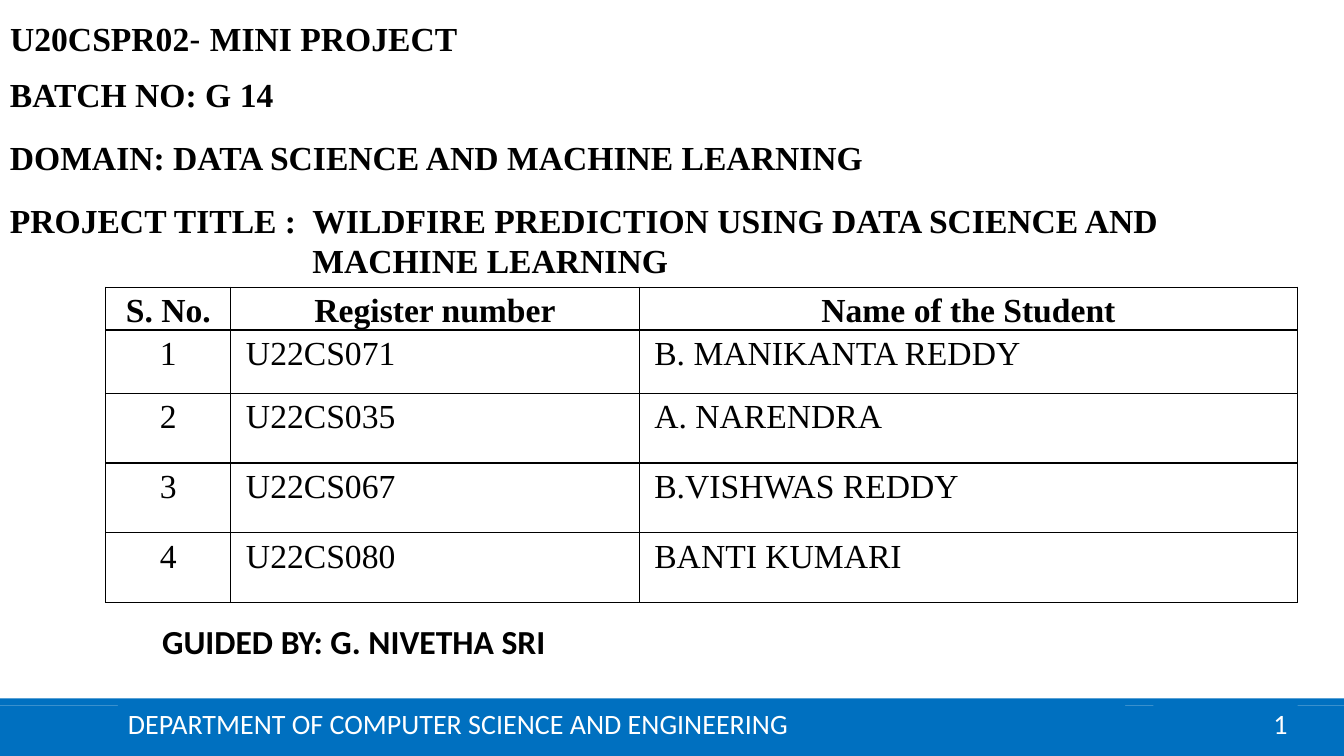
from dataclasses import dataclass

from lxml import etree
from pptx import Presentation
from pptx.dml.color import RGBColor
from pptx.enum.shapes import MSO_SHAPE
from pptx.enum.text import MSO_ANCHOR as Anchor, MSO_AUTO_SIZE as AutoSize, PP_ALIGN as Align
from pptx.oxml.ns import qn
from pptx.util import Inches, Pt

# Content
TITLE_RUNS = ["U20CSPR02", "- ", "MINI PROJECT"]
TITLE_BOX = (0, 0.13, 8.53, 0.5)
DETAILS = [
    ("BATCH NO: G 14", (0, 0.68, 3.94, 0.5)),
    ("DOMAIN: DATA SCIENCE AND MACHINE LEARNING", (0, 1.31, 8.93, 0.5)),
]
PROJECT = "PROJECT TITLE :\tWILDFIRE PREDICTION USING DATA SCIENCE AND MACHINE LEARNING"
PROJECT_BOX = (0, 1.93, 11.9, 0.91)
PROJECT_INDENT = 3
GUIDE = "GUIDED BY: G. NIVETHA SRI"
GUIDE_BOX = (1.51, 6.11, 4.72, 0.5)
STUDENTS = [
    ("S. No.", "Register number", "Name of the Student"),
    ("1", "U22CS071", "B. MANIKANTA REDDY"),
    ("2", "U22CS035", "A. NARENDRA"),
    ("3", "U22CS067", "B.VISHWAS REDDY"),
    ("4", "U22CS080", "BANTI KUMARI"),
]
TABLE_CORNER = (1.05, 2.85)
COLUMN_WIDTHS = [1.24, 4.05, 6.53]
ROW_HEIGHTS = [0.41, 0.63, 0.69, 0.69, 0.69]
DEPARTMENT = "DEPARTMENT OF COMPUTER SCIENCE AND ENGINEERING"
DEPARTMENT_BOX = (1.17, 6.98, 9.99, 0.39)
NUMBER_BOX = (11.44, 6.98, 1.43, 0.4)
FOOTER_BARS = [(0, 7, 13.33, 0.5), (0, 6.93, 13.33, 0.07)]


@dataclass(frozen=True)
class Theme:
    serif: str = "Times New Roman"
    sans: str = "Calibri"
    dash: str = "Arial"
    ink: RGBColor = RGBColor(0, 0, 0)
    paper: RGBColor = RGBColor(255, 255, 255)
    bar: RGBColor = RGBColor(0x00, 0x70, 0xC0)
    body: Pt = Pt(24)
    footer: Pt = Pt(20)


THEME = Theme()


def inches(values):
    return [Inches(value) for value in values]


def set_font(font, name=THEME.serif, size=THEME.body, color=THEME.ink, bold=True):
    font.name, font.size, font.bold = name, size, bold
    font.color.rgb = color


def add_text(slide, text, box, name=THEME.serif, anchor=Anchor.TOP):
    frame = slide.shapes.add_textbox(*inches(box)).text_frame
    frame.word_wrap = True
    frame.vertical_anchor = anchor
    paragraph = frame.paragraphs[0]
    paragraph.add_run().text = text
    set_font(paragraph.font, name)
    return paragraph


def add_bar(slide, box):
    bar = slide.shapes.add_shape(MSO_SHAPE.RECTANGLE, *inches(box))
    bar.shadow.inherit = False
    bar.fill.solid()
    bar.fill.fore_color.rgb = THEME.bar
    bar.line.fill.background()
    bar.text_frame.vertical_anchor = Anchor.MIDDLE
    return bar


def add_borders(cell):
    properties = cell._tc.get_or_add_tcPr()
    for position, side in enumerate(("lnL", "lnR", "lnT", "lnB")):
        line = etree.Element(qn(f"a:{side}"), w=str(Pt(1)))
        fill = etree.SubElement(line, qn("a:solidFill"))
        etree.SubElement(fill, qn("a:srgbClr"), val=str(THEME.ink))
        properties.insert(position, line)


def add_title(slide):
    title = slide.shapes.title
    title.left, title.top, title.width, title.height = inches(TITLE_BOX)
    frame = title.text_frame
    frame.auto_size = AutoSize.NONE
    frame.vertical_anchor = Anchor.MIDDLE
    paragraph = frame.paragraphs[0]
    paragraph.alignment = Align.LEFT
    for text in TITLE_RUNS:
        run = paragraph.add_run()
        run.text = text
        is_dash = text == "- "
        set_font(run.font, THEME.dash if is_dash else THEME.serif, bold=not is_dash)


def add_students(slide):
    size = (sum(COLUMN_WIDTHS), sum(ROW_HEIGHTS))
    table = slide.shapes.add_table(
        len(STUDENTS), len(COLUMN_WIDTHS), *inches(TABLE_CORNER + size)).table
    table.horz_banding = False
    for column, width in zip(table.columns, COLUMN_WIDTHS):
        column.width = Inches(width)
    for row, height in zip(table.rows, ROW_HEIGHTS):
        row.height = Inches(height)
    for r, student in enumerate(STUDENTS):
        for c, text in enumerate(student):
            centred = r == 0 or c == 0
            cell = table.cell(r, c)
            cell.margin_left = Inches(0.07 if centred else 0.15)
            cell.margin_right = Inches(0.07)
            cell.margin_top = cell.margin_bottom = 0
            cell.fill.background()
            add_borders(cell)
            paragraph = cell.text_frame.paragraphs[0]
            paragraph.add_run().text = text
            paragraph.alignment = Align.CENTER if centred else Align.JUSTIFY
            paragraph.line_spacing = 1.15
            set_font(paragraph.font, bold=r == 0)


def add_footer(slide):
    for box in FOOTER_BARS:
        add_bar(slide, box)

    # Slide number field
    paragraph = add_bar(slide, NUMBER_BOX).text_frame.paragraphs[0]
    paragraph.alignment = Align.RIGHT
    run = paragraph.add_run()
    run.text = "1"
    set_font(run.font, THEME.sans, THEME.footer, THEME.paper, False)
    run._r.tag = qn("a:fld")
    run._r.set("id", "{B6F15528-21DE-4FAA-801E-634DDDAF4B2B}")
    run._r.set("type", "slidenum")

    # Department name
    paragraph = add_bar(slide, DEPARTMENT_BOX).text_frame.paragraphs[0]
    paragraph.alignment = Align.LEFT
    paragraph.add_run().text = DEPARTMENT
    set_font(paragraph.font, THEME.sans, THEME.footer, THEME.paper, False)


def main():
    presentation = Presentation()
    presentation.slide_width, presentation.slide_height = inches((13.33, 7.5))
    slide = presentation.slides.add_slide(presentation.slide_layouts[5])

    add_footer(slide)
    add_students(slide)
    add_text(slide, GUIDE, GUIDE_BOX, THEME.sans)

    # Heading and project details
    add_title(slide)
    for text, box in DETAILS:
        add_text(slide, text, box, anchor=Anchor.MIDDLE)
    project = add_text(slide, PROJECT, PROJECT_BOX)
    properties = project._p.get_or_add_pPr()
    properties.set("marL", str(Inches(PROJECT_INDENT)))
    properties.set("indent", str(-Inches(PROJECT_INDENT)))

    presentation.save("out.pptx")


if __name__ == "__main__":
    main()
